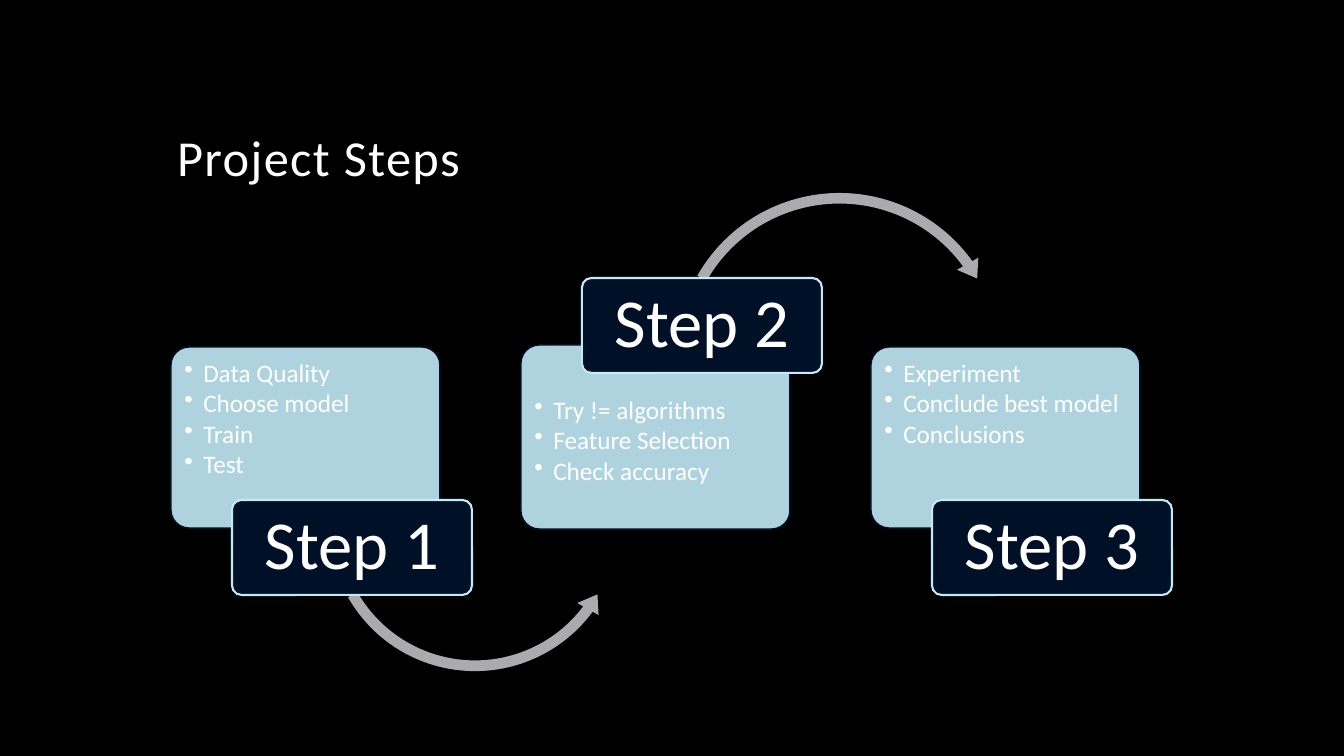
"""Build the Project Steps slide: three overlapping step cards joined by curved arrows."""
from lxml import etree
from pptx import Presentation
from pptx import util as u
from pptx.dml.color import RGBColor
from pptx.enum import shapes, text
from pptx.oxml.ns import qn

PX = 12192000 / 1344
BLACK = RGBColor(0x00, 0x00, 0x00)
WHITE = RGBColor(0xFF, 0xFF, 0xFF)
NAVY = RGBColor(0x00, 0x10, 0x27)
ICE = RGBColor(0xC1, 0xEB, 0xF7)
GRAY = RGBColor(0xAB, 0xAB, 0xAD)
FONT = "Calibri"
MSO = shapes.MSO_SHAPE

CARD_X, CARD_STEP, CARD_W = 171, 350, 269
TAG_DX, TAG_W, TAG_H = 61, 240, 95

STEPS = [
    ("Step 1", ["Data Quality", "Choose model", "Train", "Test"], 347, 181, 8, 500,
     (MSO.LEFT_CIRCULAR_ARROW, 322, 372, 306, (0.035, 4.277, 21.995, 90.207, 0.04))),
    ("Step 2", ["Try != algorithms", "Feature Selection", "Check accuracy"], 345, 184, 47, 278,
     (MSO.CIRCULAR_ARROW, 669, 186, 341, (0.031, 3.813, 194.468, 125.792, 0.036))),
    ("Step 3", ["Experiment", "Conclude best model", "Conclusions"], 347, 181, 8, 500, None),
]


def add_shape(kind, x, y, w, h, adjustments, fill, line=None, line_pt=1):
    sp = s.shapes.add_shape(kind, *(round(v * PX) for v in (x, y, w, h)))
    sp.shadow.inherit = False
    for i, value in enumerate(adjustments):
        sp.adjustments[i] = value
    sp.fill.solid()
    sp.fill.fore_color.rgb = fill
    if line is None:
        sp.line.fill.background()
    else:
        sp.line.color.rgb = line
        sp.line.width = u.Pt(line_pt)
    return sp


def style(p, size, align, after=0):
    p.font.name = FONT
    p.font.size = u.Pt(size)
    p.font.color.rgb = WHITE
    p.alignment = align
    p.line_spacing = 0.9
    p.space_after = u.Pt(after)


prs = Presentation()
prs.slide_width = round(1344 * PX)
prs.slide_height = round(756 * PX)
s = prs.slides.add_slide(prs.slide_layouts[5])
s.background.fill.solid()
s.background.fill.fore_color.rgb = BLACK

title = s.shapes.title
title.left, title.top, title.width, title.height = (round(v * PX) for v in (167, 42, 1008, 151))
tf = title.text_frame
tf.text = "Project Steps"
tf.auto_size = text.MSO_AUTO_SIZE.NONE
tf.vertical_anchor = text.MSO_ANCHOR.BOTTOM
style(tf.paragraphs[0], 36, text.PP_ALIGN.LEFT)
tf.paragraphs[0].runs[0].font._element.set("spc", "100")

for i, (name, items, card_y, card_h, inset_top, tag_y, arrow) in enumerate(STEPS):
    card_x = CARD_X + i * CARD_STEP
    card = add_shape(MSO.ROUNDED_RECTANGLE, card_x, card_y, CARD_W, card_h, [0.1], ICE, NAVY)
    color = card.fill._xPr.find(qn("a:solidFill")).find(qn("a:srgbClr"))
    etree.SubElement(color, qn("a:alpha")).set("val", "90000")
    tf = card.text_frame
    tf.word_wrap = True
    tf.vertical_anchor = text.MSO_ANCHOR.TOP
    tf.margin_left = tf.margin_right = round(8 * PX)
    tf.margin_top = round(inset_top * PX)
    tf.margin_bottom = 0
    for j, item in enumerate(items):
        p = tf.add_paragraph() if j else tf.paragraphs[0]
        p.text = item
        style(p, 18, text.PP_ALIGN.LEFT, 2.4)
        pPr = p._p.get_or_add_pPr()
        indent = round(19 * PX)
        pPr.set("marL", str(indent))
        pPr.set("indent", str(-indent))
        bullet = etree.Element(qn("a:buChar"), char="•")
        pPr.find(qn("a:defRPr")).addprevious(bullet)

    if arrow:
        kind, x, y, size, adjustments = arrow
        add_shape(kind, x, y, size, size, adjustments, GRAY)

    tag = add_shape(MSO.ROUNDED_RECTANGLE, card_x + TAG_DX, tag_y, TAG_W, TAG_H,
                    [0.1], NAVY, ICE, 1.5)
    tf = tag.text_frame
    tf.text = name
    tf.word_wrap = True
    tf.vertical_anchor = text.MSO_ANCHOR.MIDDLE
    style(tf.paragraphs[0], 49, text.PP_ALIGN.CENTER)

prs.save("out.pptx")
